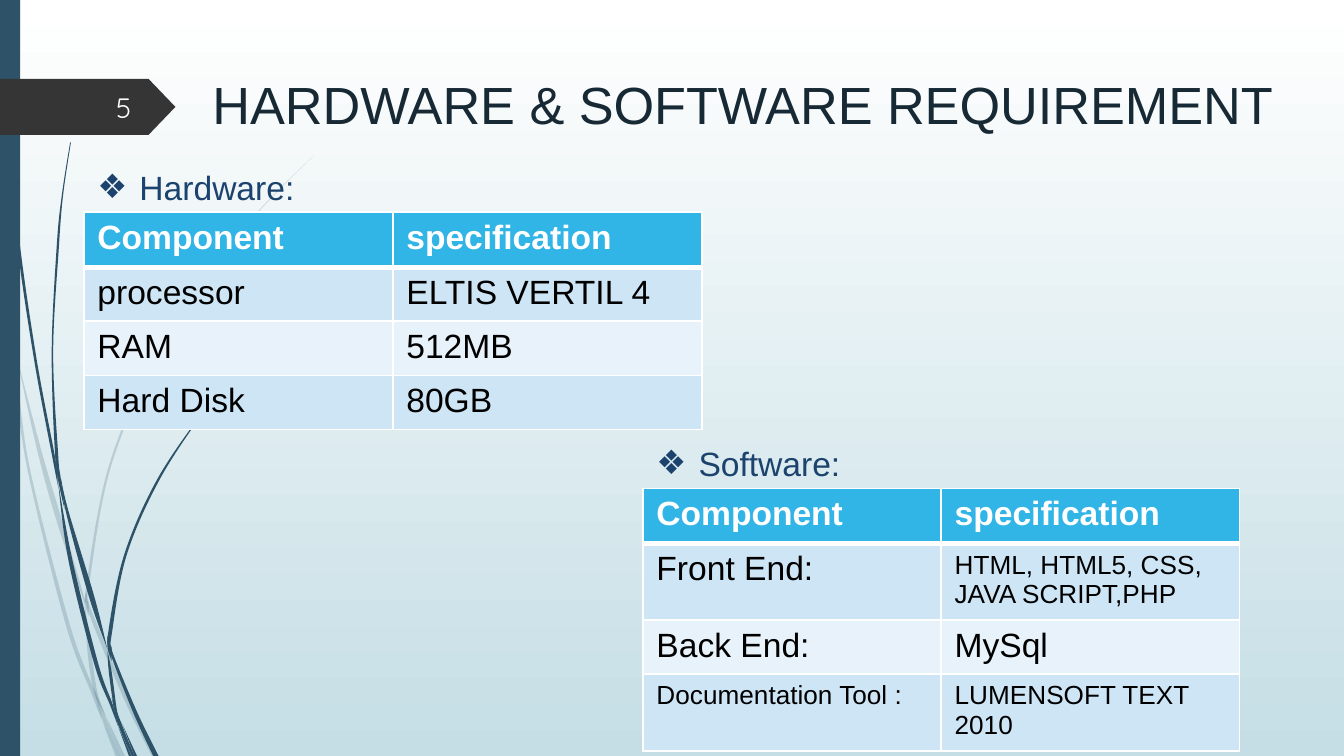
import dataclasses

import lxml.etree
import pptx
import pptx.dml.color
import pptx.enum.shapes
import pptx.enum.text
import pptx.oxml.ns
import pptx.util

Pt = pptx.util.Pt
qn = pptx.oxml.ns.qn


@dataclasses.dataclass(frozen=True)
class Theme:
    font: str = "Arial"
    number_font: str = "Quicksand"
    sky: tuple = ("FFFFFF", "C5DEE5")
    accent: str = "2E5369"
    tag: str = "353535"
    white: str = "FFFFFF"
    title: str = "172934"
    label: str = "1C436D"
    cell_text: str = "000000"
    header: str = "31B4E6"
    bands: tuple = ("CEE5F5", "E8F2FA")
    title_size: int = 28
    text_size: int = 18
    small_size: int = 14
    number_size: int = 15


THEME = Theme()

# Centre lines of the grass blades: x, y and width in points
LIGHT_BLADES = [
    [(0, 152, 0), (3.9, 177, 0.9), (5.8, 188, 0)],
    [(7.9, 186.5, 0), (21, 241, 2.2), (32.4, 281, 2.9), (45.6, 323, 0.7)],
    [(47.5, 322, 0), (48.6, 328.5, 2), (67.3, 374, 2.2), (82.4, 405, 2.2)],
    [(56.9, 384, 0), (65.5, 405, 2.9)],
    [(5.8, 189, 0), (8.8, 206, 1.4), (15.8, 253.5, 1.4), (36.4, 335, 2.2), (50, 371.5, 2), (54.7, 386, 0)],
    [(45.4, 323, 0), (47.9, 349, 2), (51.3, 371, 1.8), (56.9, 384, 0)],
    [(168.5, 83, 0), (144.7, 106.6, 0.5), (123.1, 132, 0.5), (85.7, 188, 1.4), (59, 249.5, 1.2),
     (46.8, 315, 1.4), (47.5, 322, 0)],
    [(54.7, 386, 0), (63, 405, 2.2)],
    [(46.1, 317, 0), (46.4, 323, 2), (47.5, 330, 0)],
    [(50.4, 368.6, 0), (55.8, 385, 2.2), (64, 405, 0)],
]
DARK_BLADES = [
    [(1.8, 0, 0.7), (2.5, 26, 0.3), (4, 59, 0.7), (9.4, 126, 1.4), (18.8, 191.5, 1.4), (29, 246, 1.4), (31, 260, 0)],
    [(32.4, 255, 0), (36, 274, 1.5), (49, 319.3, 2.9), (57.6, 348, 0)],
    [(59.8, 346.3, 0), (60.5, 352, 1.4), (72.4, 381.6, 2.2), (83.5, 405, 2.9)],
    [(31, 257.8, 0), (37.8, 300.5, 2.2), (51.5, 355.5, 2.2), (59.8, 378, 1.5), (63.4, 389.5, 0)],
    [(37.8, 76.3, 0.4), (33.5, 104.4, 0.7), (31, 131.8, 1.2), (28.1, 188.6, 0.8), (30.4, 244, 1.6), (32.4, 255, 0)],
    [(65.5, 388, 0), (72.7, 405, 1.4)],
    [(29.5, 242.6, 0), (31.7, 256, 1.6), (34.6, 273, 0)],
    [(140.6, 186, 0.3), (124.6, 202, 0.6), (110.2, 219, 0.5), (85, 256.7, 1.4), (67, 298, 1.4),
     (58.7, 341, 2), (59.8, 346, 0)],
    [(63.4, 389.5, 0), (69.8, 405, 1.4)],
    [(57.6, 348.5, 0), (59.2, 361, 1.6), (62.3, 382, 1.2), (65.5, 388, 0)],
    [(57.6, 340.6, 0), (58.7, 347.5, 2), (59.8, 354, 0)],
    [(59.8, 373.7, 0), (64.4, 388.5, 2), (71.3, 405, 1.4)],
]

HARDWARE = [("Component", "specification"), ("processor", "ELTIS VERTIL 4"),
            ("RAM", "512MB"), ("Hard Disk", "80GB")]
SOFTWARE = [("Component", "specification"), ("Front End:", "HTML, HTML5, CSS, JAVA SCRIPT,PHP"),
            ("Back End:", "MySql"), ("Documentation Tool :", "LUMENSOFT TEXT 2010")]
SMALL_TEXTS = {SOFTWARE[1][1], *SOFTWARE[3]}


def rgb(color):
    return pptx.dml.color.RGBColor.from_string(color)


def style_font(font, size, color, name=THEME.font, bold=False):
    font.name, font.size, font.bold = name, Pt(size), bold
    font.color.rgb = rgb(color)


def paint(shape, color, opacity=100):
    shape.shadow.inherit = False
    shape.fill.solid()
    shape.fill.fore_color.rgb = rgb(color)
    shape.line.fill.background()
    if opacity < 100:
        fill_color = shape._element.spPr.find(qn("a:solidFill"))[0]
        lxml.etree.SubElement(fill_color, qn("a:alpha")).set("val", str(opacity * 1000))


def curve_sides(shape, count):
    """Turn the straight parts of both sides, of count points each, into smooth curves."""
    lines = [step for step in shape._element.iter(qn("a:moveTo"), qn("a:lnTo"))][:2 * count]
    points = [(int(step[0].get("x")), int(step[0].get("y"))) for step in lines]
    for side in (range(count), range(count, 2 * count)):
        for i in side[1:]:
            before, after = max(i - 2, side[0]), min(i + 1, side[-1])
            p, q, r, s = points[before], points[i - 1], points[i], points[after]
            lines[i].tag = qn("a:cubicBezTo")
            controls = ([b + (c - a) / 6 for a, b, c in zip(p, q, r)],
                        [c - (d - b) / 6 for b, c, d in zip(q, r, s)])
            for position, (x, y) in enumerate(controls):
                point = lxml.etree.Element(qn("a:pt"), x=str(round(x)), y=str(round(y)))
                lines[i].insert(position, point)


def add_blade(slide, left, top, knots, opacity):
    outline = [(x - w / 2, y) for x, y, w in knots]
    outline += [(x + w / 2, y) for x, y, w in reversed(knots)]
    points = [(Pt(left + x), Pt(top + y)) for x, y in outline]
    builder = slide.shapes.build_freeform(*points[0])
    builder.add_line_segments(points[1:], close=True)
    blade = builder.convert_to_shape()
    curve_sides(blade, len(knots))
    paint(blade, THEME.accent, opacity)


def add_decoration(slide, left, top, height):
    for blades, opacity in ((LIGHT_BLADES, 20), (DARK_BLADES, 100)):
        for knots in blades:
            add_blade(slide, left, top, knots, opacity)
    bar = slide.shapes.add_shape(pptx.enum.shapes.MSO_SHAPE.RECTANGLE, Pt(left), Pt(top), Pt(10.8), Pt(height))
    paint(bar, THEME.accent)


def add_number_tag(slide, left, top, width, height, number):
    tag = slide.shapes.add_shape(pptx.enum.shapes.MSO_SHAPE.PENTAGON, Pt(left), Pt(top), Pt(width), Pt(height))
    tag.adjustments[0] = 0.48
    paint(tag, THEME.tag)
    frame = slide.shapes.add_textbox(Pt(left + 31.5), Pt(top + 4.5), Pt(46), Pt(21.6)).text_frame
    frame.word_wrap = True
    frame.vertical_anchor = pptx.enum.text.MSO_ANCHOR.MIDDLE
    frame.text = number
    frame.paragraphs[0].alignment = pptx.enum.text.PP_ALIGN.RIGHT
    style_font(frame.paragraphs[0].runs[0].font, THEME.number_size, THEME.white, THEME.number_font)


def fill_placeholder(slide, shape, box, text, size, color, bullet=None):
    shape.left, shape.top, shape.width, shape.height = map(Pt, box)
    slide.shapes._spTree.append(shape._element)  # bring in front of the decoration
    frame = shape.text_frame
    frame.text = text
    frame.auto_size = pptx.enum.text.MSO_AUTO_SIZE.NONE
    frame.word_wrap = bullet is None
    frame.vertical_anchor = pptx.enum.text.MSO_ANCHOR.TOP
    paragraph = frame.paragraphs[0]
    paragraph.alignment = pptx.enum.text.PP_ALIGN.LEFT
    paragraph.space_before = Pt(0)
    if bullet:
        properties = paragraph._p.get_or_add_pPr()
        properties.set("marL", str(Pt(22.5)))
        properties.set("indent", str(Pt(-22.5)))
        lxml.etree.SubElement(properties, qn("a:buChar")).set("char", bullet)
    style_font(paragraph.runs[0].font, size, color)


def set_borders(cell, top, bottom):
    properties = cell._tc.get_or_add_tcPr()
    for position, (side, width) in enumerate(zip("LRTB", (1, 1, top, bottom))):
        line = lxml.etree.Element(qn(f"a:ln{side}"), w=str(Pt(width)))
        fill = lxml.etree.SubElement(line, qn("a:solidFill"))
        lxml.etree.SubElement(fill, qn("a:srgbClr")).set("val", THEME.white)
        properties.insert(position, line)


def add_section(slide, label, left, top, width, heading, rows, heights):
    # Table below the label
    table = slide.shapes.add_table(len(rows), 2, Pt(left), Pt(top + 28), Pt(width), Pt(sum(heights))).table
    table.first_row = table.horz_banding = False
    for index, (texts, height) in enumerate(zip(rows, heights)):
        table.rows[index].height = Pt(height)
        header = index == 0
        for cell, text in zip(table.rows[index].cells, texts):
            cell.text = text
            cell.fill.solid()
            cell.fill.fore_color.rgb = rgb(THEME.header if header else THEME.bands[(index - 1) % 2])
            set_borders(cell, 3 if index == 1 else 1, 3 if header else 1)
            style_font(cell.text_frame.paragraphs[0].runs[0].font,
                       THEME.small_size if text in SMALL_TEXTS else THEME.text_size,
                       THEME.white if header else THEME.cell_text, bold=header)
    # Bulleted label
    fill_placeholder(slide, label, (left, top, 120, 29), heading, THEME.text_size, THEME.label, "❖")


def main():
    presentation = pptx.Presentation()
    presentation.slide_width, presentation.slide_height = Pt(720), Pt(405)
    slide = presentation.slides.add_slide(presentation.slide_layouts[3])
    title, hardware_label, software_label = slide.placeholders

    # Background
    background = slide.background.fill
    background.gradient()
    background.gradient_angle = 270
    for stop, color in zip(background.gradient_stops, THEME.sky):
        stop.color.rgb = rgb(color)

    add_decoration(slide, 0, 0, 405)
    add_number_tag(slide, 0, 42.3, 94, 30, "5")
    fill_placeholder(slide, title, (106.6, 35.3, 633, 41), "HARDWARE & SOFTWARE REQUIREMENT",
                     THEME.title_size, THEME.title)
    add_section(slide, hardware_label, 45, 85.7, 331, "Hardware:", HARDWARE, [29.4, 29, 29, 29])
    add_section(slide, software_label, 344.5, 233.8, 319.5, "Software:", SOFTWARE, [29.4, 41, 29, 41])
    presentation.save("out.pptx")


if __name__ == "__main__":
    main()
